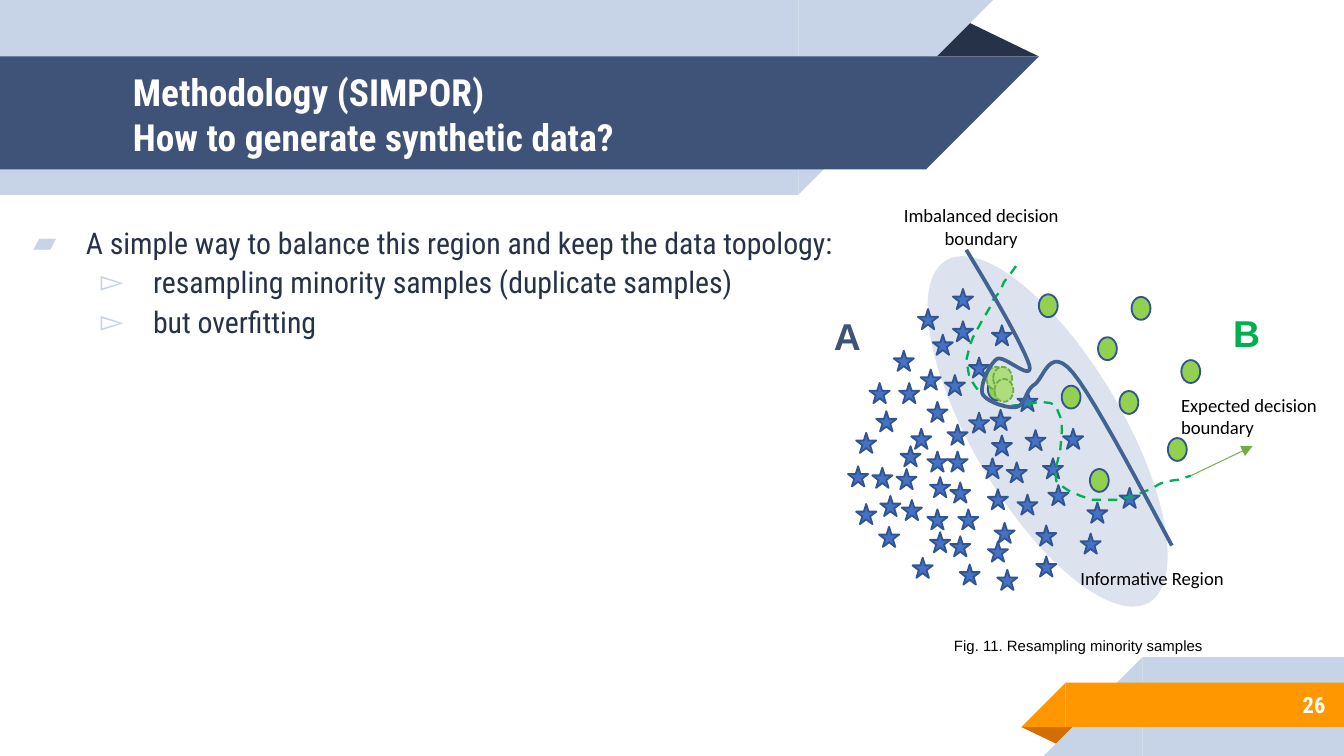
import pptx
import pptx.dml.color
import pptx.enum.dml
import pptx.enum.shapes
import pptx.enum.text
import pptx.oxml
import pptx.oxml.ns
import pptx.util

RGBColor = pptx.dml.color.RGBColor
Inches = pptx.util.Inches
Pt = pptx.util.Pt
Shape = pptx.enum.shapes.MSO_SHAPE
Align = pptx.enum.text.PP_ALIGN
Anchor = pptx.enum.text.MSO_ANCHOR
Dash = pptx.enum.dml.MSO_LINE

WIDTH = 10
HEIGHT = WIDTH * 9 / 16
WHITE = RGBColor(0xFF, 0xFF, 0xFF)
BLACK = RGBColor(0, 0, 0)
NAVY = RGBColor(0x26, 0x32, 0x48)
SLATE = RGBColor(0x3F, 0x53, 0x78)
PALE = RGBColor(0xC7, 0xD3, 0xE6)
ORANGE = RGBColor(0xFF, 0x98, 0x00)
RUST = RGBColor(0xD2, 0x6F, 0x00)
REGION = RGBColor(0x2F, 0x55, 0x97)
BLUE = RGBColor(0x44, 0x72, 0xC4)
EDGE = RGBColor(0x32, 0x54, 0x91)
LIME = RGBColor(0x92, 0xD0, 0x50)
SOFT_LIME = RGBColor(0xAF, 0xDD, 0x7D)
LEAF = RGBColor(0x70, 0xAD, 0x47)
GREEN = RGBColor(0x00, 0xB0, 0x50)
STEEL = RGBColor(0x42, 0x62, 0x94)
HEADING_FONT = "Roboto Condensed"

TITLE = "Methodology (SIMPOR)\vHow to generate synthetic data?"
POINTS = [
    (0, "▰", "A simple way to balance this region and keep the data topology:"),
    (1, "▻", "resampling minority samples (duplicate samples)"),
    (1, "▻", "but overfitting"),
]
LABELS = [
    ("A", (6.1, 2.28, 0.41, 0.44), 20, "Arial", SLATE, True, Align.CENTER, False),
    ("B", (9.07, 2.26, 0.41, 0.44), 20, "Arial", GREEN, True, Align.CENTER, False),
    ("Informative Region", (7.94, 4.17, 1.29, 0.27), 10, "Calibri", BLACK, False, Align.LEFT, False),
    ("Expected decision\nboundary", (8.69, 2.88, 1.26, 0.44), 10, "Calibri", BLACK, False, Align.LEFT, False),
    ("Imbalanced decision boundary", (6.5, 1.47, 1.6, 0.44), 10, "Calibri", BLACK, False, Align.CENTER, True),
    ("Fig. 11. Resampling minority samples", (7, 4.69, 2.14, 0.24), 8, "Arial", BLACK, False, Align.LEFT, False),
]
MAJORITY = [
    (7.03, 2.79), (6.78, 3.19), (6.9, 2.99), (7.05, 3.36), (6.94, 2.49), (7.35, 3.64),
    (6.69, 2.85), (6.37, 3.22), (6.7, 3.32), (6.92, 3.55), (7.13, 3.79), (7.35, 4.03),
    (7.21, 3.07), (7.05, 3.16), (7.76, 3.41), (7.38, 2.42), (7.38, 3.24), (7.91, 3.19),
    (8.09, 3.74), (6.49, 3.48), (6.71, 3.72), (6.92, 3.96), (7.14, 4.2), (7.71, 3.91),
    (8.33, 3.63), (7.57, 2.91), (6.37, 3.75), (6.67, 3.49), (7.31, 3.41), (7.07, 3.59),
    (7.57, 3.68), (7.63, 3.2), (7.37, 3.05), (6.55, 3.69), (6.52, 3.06), (7.4, 3.89),
    (7.07, 3.99), (6.79, 4.15), (7.49, 3.44), (7.8, 3.61), (7.09, 2.39), (6.85, 2.75),
    (6.65, 2.61), (6.47, 2.85), (6.31, 3.47), (8.04, 3.97), (7.71, 4.14), (7.42, 4.24),
    (7.21, 2.66), (7.09, 2.15), (6.54, 3.92), (6.9, 3.79), (6.9, 3.36), (6.83, 2.3),
]
MINORITY = [
    (8.79, 2.68), (8.42, 2.21), (8.11, 3.49), (7.9, 2.87), (7.35, 2.81), (7.73, 2.19),
    (8.69, 3.26), (8.17, 2.51), (8.33, 2.91),
]
DUPLICATES = [(7.34, 2.73), (7.39, 2.73), (7.4, 2.82)]
EXPECTED_BOUNDARY = [
    (7.56, 1.98), (7.51, 2.05), (7.47, 2.1), (7.44, 2.17), (7.39, 2.23), (7.37, 2.28),
    (7.3, 2.4), (7.24, 2.51), (7.22, 2.56), (7.2, 2.64), (7.19, 2.68), (7.21, 2.79),
    (7.22, 2.82), (7.26, 2.88), (7.31, 2.94), (7.38, 3), (7.51, 3.02), (7.64, 3.01),
    (7.74, 2.99), (7.82, 3), (7.86, 3.03), (7.88, 3.08), (7.9, 3.13), (7.9, 3.22),
    (7.89, 3.34), (7.87, 3.43), (7.85, 3.49), (7.86, 3.58), (7.89, 3.61), (7.95, 3.65),
    (8.04, 3.69), (8.13, 3.72), (8.32, 3.72), (8.46, 3.68), (8.56, 3.64), (8.63, 3.6),
    (8.69, 3.58), (8.77, 3.57), (8.86, 3.54),
]
IMBALANCED_START = (7.19, 1.86)
IMBALANCED_BENDS = [
    ((7.41, 2.22), (7.62, 2.59), (7.66, 2.72)),
    ((7.69, 2.85), (7.47, 2.64), (7.42, 2.67)),
    ((7.36, 2.71), (7.29, 2.87), (7.31, 2.93)),
    ((7.34, 2.99), (7.49, 3.04), (7.56, 3.03)),
    ((7.63, 3.02), (7.63, 2.9), (7.7, 2.86)),
    ((7.77, 2.81), (7.81, 2.57), (7.98, 2.77)),
    ((8.15, 2.97), (8.61, 3.86), (8.72, 4.06)),
]

deck = pptx.Presentation()
deck.slide_width, deck.slide_height = Inches(WIDTH), Inches(HEIGHT)
slide = deck.slides.add_slide(deck.slide_layouts[6])
shapes = slide.shapes


def xml(tag, attributes=""):
    return pptx.oxml.parse_xml(f"<a:{tag} {pptx.oxml.ns.nsdecls('a')} {attributes}/>")


def add_figure(kind, box, fill, edge=None, rotation=0, dash=None):
    figure = shapes.add_shape(kind, *map(Inches, box))
    figure.shadow.inherit = False
    figure.rotation = rotation
    figure.fill.solid()
    figure.fill.fore_color.rgb = fill
    if edge is None:
        figure.line.fill.background()
    else:
        figure.line.color.rgb = edge
        figure.line.width = Pt(1)
        figure.line.dash_style = dash
    return figure


def add_top_band(top, square_end, depth, fill):
    add_figure(Shape.RECTANGLE, (0, top, square_end, depth), fill)
    add_figure(Shape.RIGHT_TRIANGLE, (square_end, top, depth, depth), fill, rotation=90)


def add_bottom_band(top, square_start, depth, fill):
    add_figure(Shape.RECTANGLE, (square_start, top, WIDTH - square_start, depth), fill)
    add_figure(Shape.RIGHT_TRIANGLE, (square_start - depth, top, depth, depth), fill, rotation=270)


def add_fold(box, fill, rotation=0):
    add_figure(Shape.ISOSCELES_TRIANGLE, box, fill, rotation=rotation).adjustments[0] = 0.32


def add_curve(points, color, width, dash=None):
    start, *rest = [(Inches(x), Inches(y)) for x, y in points]
    builder = shapes.build_freeform(*start, scale=1)
    builder.add_line_segments(rest, close=False)
    curve = builder.convert_to_shape()
    curve.shadow.inherit = False
    curve.fill.background()
    curve.line.color.rgb = color
    curve.line.width = Pt(width)
    curve.line.dash_style = dash


def trace_bends(start, bends, steps=12):
    traced = [start]
    for first, second, end in bends:
        for step in range(1, steps + 1):
            t = step / steps
            weights = ((1 - t) ** 3, 3 * t * (1 - t) ** 2, 3 * t * t * (1 - t), t ** 3)
            corners = (start, first, second, end)
            traced.append(tuple(sum(w * c[axis] for w, c in zip(weights, corners)) for axis in (0, 1)))
        start = end
    return traced


def add_text(text, box, size, font, color, bold=False, align=Align.LEFT, wrap=True,
             anchor=Anchor.TOP, inset=0.05):
    frame = shapes.add_textbox(*map(Inches, box)).text_frame
    frame.text = text
    frame.word_wrap = wrap
    frame.vertical_anchor = anchor
    frame.margin_top = frame.margin_bottom = Inches(inset)
    for paragraph in frame.paragraphs:
        paragraph.alignment = align
        for run in paragraph.runs:
            run.font.size, run.font.name, run.font.bold = Pt(size), font, bold
            run.font.color.rgb = color
    return frame


add_fold((6.88, 0.14, 0.85, 0.28), NAVY)
add_top_band(0, 5.94, 1.45, PALE)
add_top_band(0.42, 6.89, 0.84, SLATE)
add_fold((7.6, 5.41, 0.43, 0.14), RUST, rotation=180)
add_bottom_band(4.89, 8.5, HEIGHT - 4.89, PALE)
add_bottom_band(5.08, 7.93, 0.33, ORANGE)

add_text(TITLE, (0.89, 0.43, 5.75, 0.84), 20, HEADING_FONT, WHITE, True, anchor=Anchor.MIDDLE, inset=0.1)
add_text("26", (8.33, 5.07, 1.63, 0.35), 12, HEADING_FONT, WHITE, True, Align.RIGHT,
         anchor=Anchor.MIDDLE, inset=0.1)
body = add_text("\n".join(text for _, _, text in POINTS), (0.04, 1.57, 6.38, 3.62), 16,
                HEADING_FONT, NAVY, inset=0.1)
for paragraph, (level, bullet, _) in zip(body.paragraphs, POINTS):
    paragraph.level = level
    paragraph.space_before = Pt(2)
    properties = paragraph._p.get_or_add_pPr()
    properties.set("marL", str(Inches(0.5 * (level + 1))))
    properties.set("indent", str(Inches(-0.39)))
    bullet_color = xml("buClr")
    bullet_color.append(xml("srgbClr", f'val="{PALE}"'))
    properties.append(bullet_color)
    properties.append(xml("buFont", f'typeface="{HEADING_FONT}"'))
    properties.append(xml("buChar", f'char="{bullet}"'))

region = add_figure(Shape.OVAL, (7.24, 1.73, 1.11, 2.96), REGION, rotation=329.3)
region_color = region._element.spPr.find(".//" + pptx.oxml.ns.qn("a:srgbClr"))
region_color.append(xml("alpha", 'val="16000"'))
for x, y in MAJORITY:
    add_figure(Shape.STAR_5_POINT, (x, y, 0.15, 0.15), BLUE, EDGE)
for x, y in MINORITY:
    add_figure(Shape.OVAL, (x, y, 0.14, 0.17), LIME, EDGE)
add_curve(EXPECTED_BOUNDARY, GREEN, 1.25, Dash.DASH)
for x, y in DUPLICATES:
    add_figure(Shape.OVAL, (x, y, 0.14, 0.17), SOFT_LIME, LEAF, dash=Dash.SQUARE_DOT)
add_curve(trace_bends(IMBALANCED_START, IMBALANCED_BENDS), STEEL, 2)

pointer = shapes.add_connector(pptx.enum.shapes.MSO_CONNECTOR.STRAIGHT,
                               *map(Inches, (*EXPECTED_BOUNDARY[-1], 9.32, 3.32)))
pointer.line.color.rgb = LEAF
pointer.line.width = Pt(0.5)
pointer.line._get_or_add_ln().append(xml("tailEnd", 'type="triangle"'))
pointer._element.spPr.append(xml("effectLst"))

for label in LABELS:
    add_text(*label)

deck.save("out.pptx")
